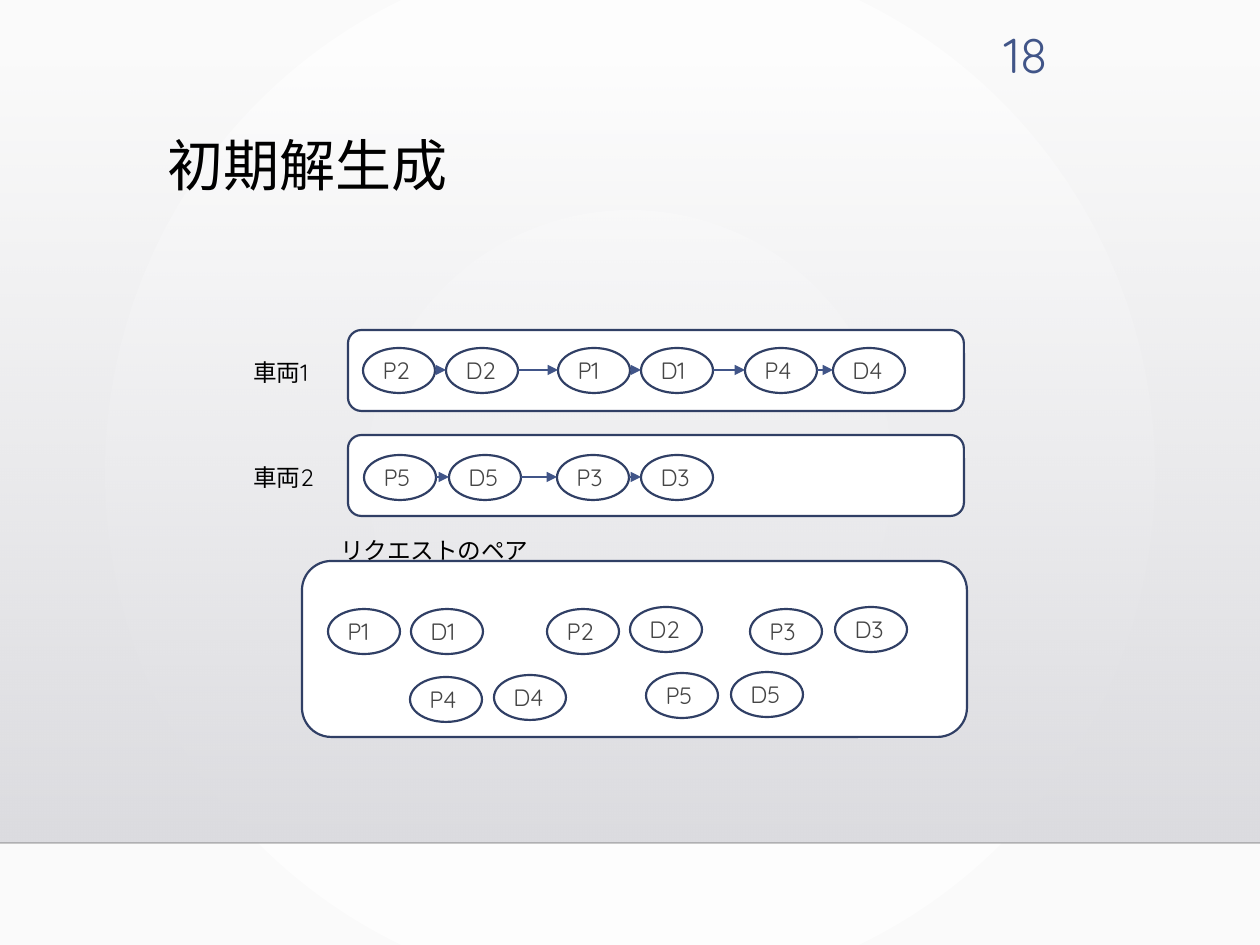
from pptx import Presentation
from pptx.dml.color import RGBColor
from pptx.enum.shapes import MSO_CONNECTOR, MSO_SHAPE
from pptx.enum.text import MSO_ANCHOR, PP_ALIGN
from pptx.oxml import parse_xml
from pptx.oxml.ns import nsdecls
from pptx.util import Pt

PX = 914400 / 126
COLORS = {
    "white": "FFFFFF", "edge": "FAFAFA", "shade_top": "DCDCE0",
    "shade_bottom": "DEDEE2", "rule": "000001", "outline": "303F65",
    "accent": "415588", "black": "000000", "node": "454545",
}
RGB = {name: RGBColor.from_string(value) for name, value in COLORS.items()}
NODE_W, NODE_H = 72, 45

prs = Presentation()
prs.slide_width, prs.slide_height = int(1260 * PX), int(945 * PX)
s = prs.slides.add_slide(prs.slide_layouts[6])


def add_box(kind, *box):
    sp = s.shapes.add_shape(kind, *[int(v * PX) for v in box])
    sp.shadow.inherit = False
    sp.fill.solid()
    sp.fill.fore_color.rgb = RGB["white"]
    sp.line.color.rgb = RGB["outline"]
    sp.line.width = Pt(1.25)
    return sp


def set_text(tf, text, size, color, align=PP_ALIGN.LEFT):
    tf.word_wrap = True
    p = tf.paragraphs[0]
    p.text = text
    p.alignment = align
    p.font.name = "Quicksand"
    p.font.size = Pt(size)
    p.font.color.rgb = RGB[color]
    return p


fill = s.background.fill
fill.gradient()
for stop, color in zip(fill.gradient_stops, ("white", "edge")):
    stop.color.rgb = RGB[color]
grad = s.element.xpath(".//a:gradFill")[0]
grad.remove(grad.xpath("a:lin")[0])
grad.append(parse_xml(
    f'<a:path {nsdecls("a")} path="circle">'
    '<a:fillToRect l="50000" t="50000" r="50000" b="50000"/></a:path>'))

shade = add_box(MSO_SHAPE.RECTANGLE, 0, 64, 1260, 779)
shade.line.fill.background()
shade.fill.gradient()
shade.fill.gradient_angle = 270
for stop, color in zip(shade.fill.gradient_stops, ("shade_top", "shade_bottom")):
    stop.color.rgb = RGB[color]
shade.element.xpath(".//a:gradFill//a:srgbClr")[0].append(
    parse_xml(f'<a:alpha {nsdecls("a")} val="0"/>'))

arrows = []
routes = [
    (348, [("P2", 363), ("D2", 446), ("P1", 558), ("D1", 641), ("P4", 745), ("D4", 833)]),
    (455, [("P5", 364), ("D5", 449), ("P3", 557), ("D3", 641)]),
]
nodes = [
    ("P1", 328, 609), ("D1", 411, 609), ("P2", 547, 609), ("D2", 630, 607),
    ("P3", 750, 609), ("D3", 835, 607), ("P4", 410, 677), ("D4", 494, 675),
    ("P5", 646, 673), ("D5", 731, 672),
]
for y, stops in routes:
    nodes += [(name, x, y) for name, x in stops]
    arrows += [(a[1] + NODE_W, b[1], y + NODE_H // 2) for a, b in zip(stops, stops[1:])]

for box in [(348, 330, 616, 81), (348, 435, 616, 81), (302, 561, 665, 176)]:
    add_box(MSO_SHAPE.ROUNDED_RECTANGLE, *box)

texts = [
    ("初期解生成", 32, "black", PP_ALIGN.LEFT, 155, 132, 906, 145),
    ("18", 28, "accent", PP_ALIGN.RIGHT, 950, 18, 110, 69),
    ("車両1", 13.5, "black", PP_ALIGN.LEFT, 241, 352, 87, 42),
    ("車両2", 13.5, "black", PP_ALIGN.LEFT, 241, 457, 87, 42),
    ("リクエストのペア", 13.5, "black", PP_ALIGN.LEFT, 328, 530, 260, 42),
]
for text, size, color, align, *box in texts:
    tb = s.shapes.add_textbox(*[int(v * PX) for v in box])
    p = set_text(tb.text_frame, text, size, color, align)
    if size == 32:
        p.line_spacing = 0.9

for name, x, y in nodes:
    sp = add_box(MSO_SHAPE.OVAL, x, y, NODE_W, NODE_H)
    tf = sp.text_frame
    tf.margin_left = tf.margin_right = int(9 * PX)
    tf.margin_top = tf.margin_bottom = int(5 * PX)
    tf.vertical_anchor = MSO_ANCHOR.MIDDLE
    set_text(tf, name, 13.5, "node")

lines = [(0, 1260, 843, "rule", 1)] + [(*arrow, "accent", 0.75) for arrow in arrows]
for x1, x2, y, color, width in lines:
    cn = s.shapes.add_connector(
        MSO_CONNECTOR.STRAIGHT, *[int(v * PX) for v in (x1, y, x2, y)])
    cn.line.color.rgb = RGB[color]
    cn.line.width = Pt(width)
    if color == "rule":
        cn.element.xpath(".//a:ln//a:srgbClr")[0].append(
            parse_xml(f'<a:alpha {nsdecls("a")} val="20000"/>'))
    else:
        cn.element.xpath(".//a:ln")[0].append(
            parse_xml(f'<a:tailEnd {nsdecls("a")} type="triangle"/>'))
    cn.element.spPr.append(parse_xml(f'<a:effectLst {nsdecls("a")}/>'))

prs.save("out.pptx")
